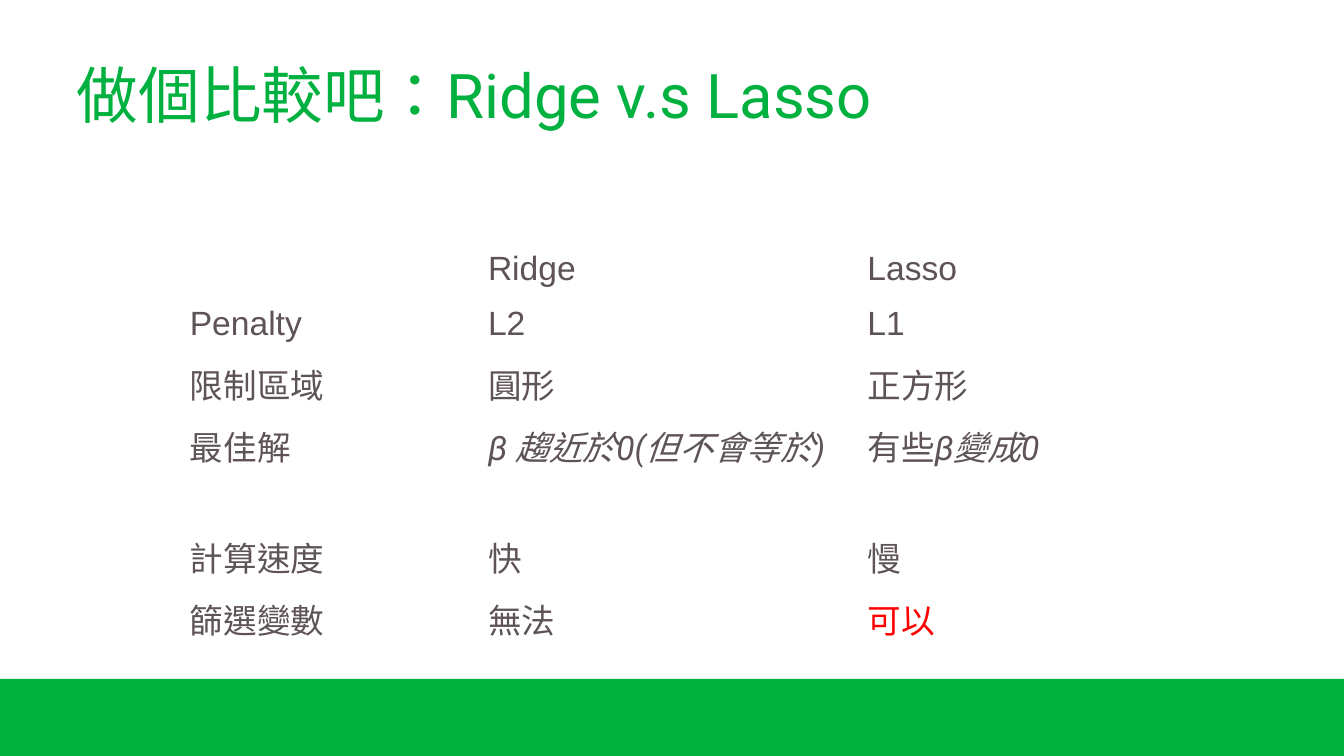
from pptx import Presentation
from pptx.dml.color import RGBColor
from pptx.enum.lang import MSO_LANGUAGE_ID
from pptx.enum.shapes import MSO_SHAPE
from pptx.enum.text import MSO_ANCHOR, MSO_AUTO_SIZE, PP_ALIGN
from pptx.util import Pt

RECTANGLE = MSO_SHAPE.RECTANGLE
MIDDLE = MSO_ANCHOR.MIDDLE
NO_AUTOFIT = MSO_AUTO_SIZE.NONE
LEFT = PP_ALIGN.LEFT
CHINESE = MSO_LANGUAGE_ID.TRADITIONAL_CHINESE

GREEN = RGBColor(0x00, 0xB1, 0x40)
GREY = RGBColor(0x5E, 0x53, 0x56)
RED = RGBColor(0xFF, 0x00, 0x00)

PX = 9525  # EMU per px, 96 px to the inch
SLIDE_SIZE = (960, 540)
TITLE_BOX = (48, 22, 864, 90)
FOOTER_BOX = (0, 485, 960, 55)
TABLE_BOX = (126, 174, 702, 234)
COLUMN_WIDTHS = (213, 271, 218)

TITLE_FORMAT = {"name": "Roboto", "size": Pt(33), "color": GREEN,
                "language_id": CHINESE}
BODY = {"name": "Arial", "size": Pt(18), "color": GREY, "language_id": CHINESE}
FORMULA = {**BODY, "name": "Roboto", "italic": True}
HIGHLIGHT = {**BODY, "color": RED}

# A cell is a plain string, or a list of (text, format) runs.
COMPARISON = [
    ("", "Ridge", "Lasso"),
    ("Penalty", "L2", "L1"),
    ("限制區域", "圓形", "正方形"),
    ("最佳解", [("β 趨近於0(但不會等於)", FORMULA)],
     [("有些", BODY), ("β變成0", FORMULA)]),
    ("計算速度", "快", "慢"),
    ("篩選變數", "無法", [("可以", HIGHLIGHT)]),
]


def emu(lengths):
    return [length * PX for length in lengths]


def format_font(font, values):
    for attribute, value in values.items():
        if attribute == "color":
            font.color.rgb = value
        else:
            setattr(font, attribute, value)


def add_title(slide, box, text):
    title = slide.shapes.title
    title.left, title.top, title.width, title.height = emu(box)
    frame = title.text_frame
    frame_format = {
        "vertical_anchor": MIDDLE, "auto_size": NO_AUTOFIT, "word_wrap": True,
        "margin_left": 7 * PX, "margin_right": 7 * PX,
        "margin_top": 4 * PX, "margin_bottom": 4 * PX,
    }
    for attribute, value in frame_format.items():
        setattr(frame, attribute, value)
    paragraph = frame.paragraphs[0]
    paragraph.alignment = LEFT
    run = paragraph.add_run()
    run.text = text
    format_font(run.font, TITLE_FORMAT)


def add_footer_band(slide, box):
    band = slide.shapes.add_shape(RECTANGLE, *emu(box))
    band.shadow.inherit = False
    band.fill.solid()
    band.fill.fore_color.rgb = GREEN
    band.line.fill.background()


def fill_cell(cell, content):
    cell.fill.background()
    paragraph = cell.text_frame.paragraphs[0]
    format_font(paragraph.font, BODY)
    runs = [(content, BODY)] if isinstance(content, str) else content
    for text, values in runs:
        if text:
            run = paragraph.add_run()
            run.text = text
            format_font(run.font, values)


def add_comparison(slide, box, rows):
    table = slide.shapes.add_table(len(rows), len(COLUMN_WIDTHS), *emu(box)).table
    table.first_row = False
    table.horz_banding = False
    for column, width in zip(table.columns, COLUMN_WIDTHS):
        column.width = width * PX
    for row, contents in zip(table.rows, rows):
        for cell, content in zip(row.cells, contents):
            fill_cell(cell, content)


def main():
    presentation = Presentation()
    presentation.slide_width, presentation.slide_height = emu(SLIDE_SIZE)
    title_only = presentation.slide_layouts[5]
    slide = presentation.slides.add_slide(title_only)
    add_footer_band(slide, FOOTER_BOX)
    add_title(slide, TITLE_BOX, "做個比較吧：Ridge v.s Lasso")
    add_comparison(slide, TABLE_BOX, COMPARISON)
    presentation.save("out.pptx")


if __name__ == "__main__":
    main()
